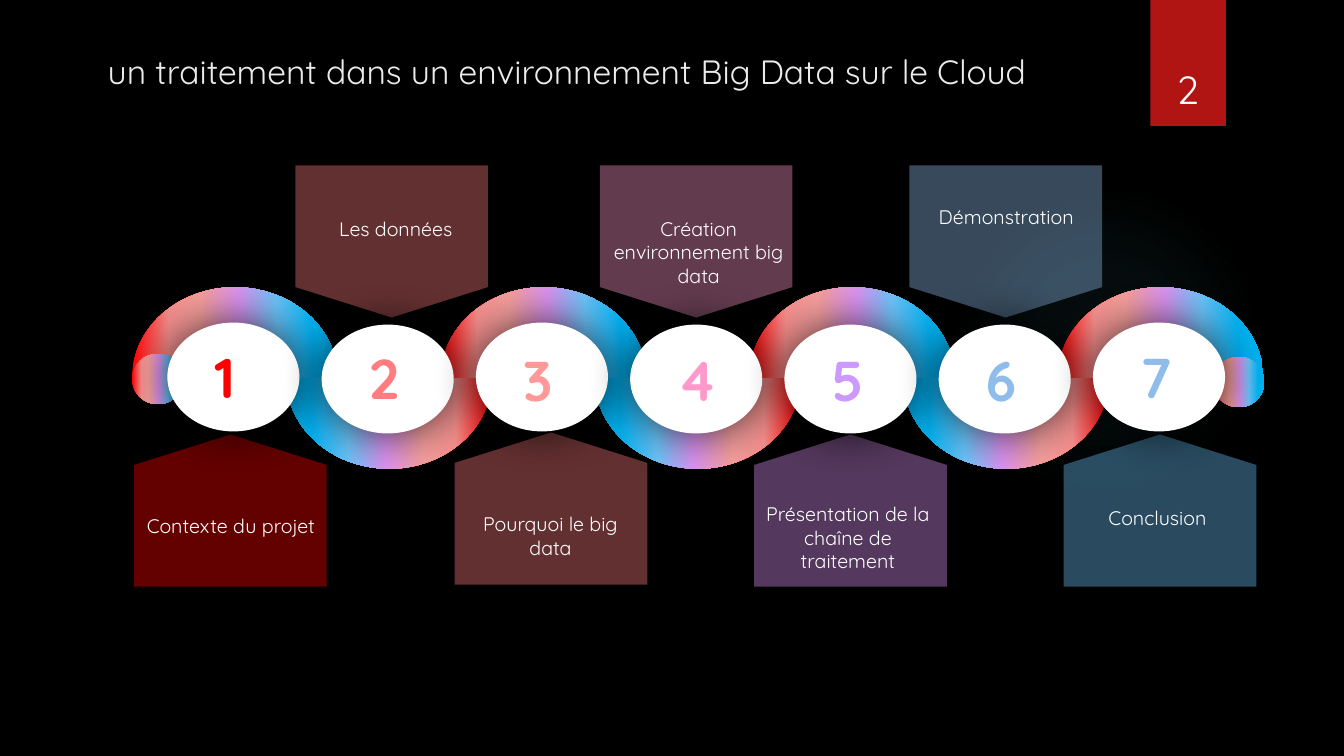
from lxml import etree
from pptx import Presentation
from pptx.dml.color import RGBColor
from pptx.enum import shapes, text
from pptx.oxml import parse_xml
from pptx.oxml.ns import nsdecls, qn
from pptx.util import Inches, Pt

COLORS = {
    "background": "000000", "white": "FFFFFF", "title": "EBEBEB",
    "tab": "B01513", "glow": "50B9C1", "shadow": "000000",
    "red": "FF0000", "coral": "FF7C80", "salmon": "FF9999", "pink": "FF99CC",
    "lilac": "CC99FF", "violet": "DA92F0", "sky": "6AC1F6", "blue": "8FBDEB",
}
# Gradient stops: position in percent, colour, opacity in percent
RIBBON = [(0, "FF0000", 100), (18, "F38F8D", 100), (34, "F49E9D", 100), (34, "F49D9C", 100),
          (52, "DA92F0", 100), (70, "6AC1F6", 100), (88, "00B0F0", 100), (100, "00B0F0", 100)]
GLOW = [(0, COLORS["glow"], 7), (36, COLORS["glow"], 6), (69, COLORS["glow"], 0)]
LINEAR = '<a:lin ang="0" scaled="0"/>'
RADIAL = '<a:path path="circle"><a:fillToRect l="50000" t="50000" r="50000" b="50000"/></a:path>'

FONT = "Quicksand"
PITCH = 1.53
# Label, banner colour, digit colour, banner (left, top), label (left, top, width, height),
# circle top, digit top
STEPS = [
    ("Contexte du projet", "red", "red", (1.33, 4.31), (1.33, 5.05, 1.92, 0.57), 3.2, 3.35),
    ("Les données", "coral", "coral", (2.93, 1.64), (2.93, 2.1, 1.99, 0.34), 3.22, 3.36),
    ("Pourquoi le big data", "coral", "salmon", (4.51, 4.29), (4.5, 5.03, 1.92, 0.57), 3.2, 3.38),
    ("Création environnement big data", "pink", "pink", (5.95, 1.64), (5.97, 2.1, 1.92, 0.81),
     3.22, 3.38),
    ("Présentation de la chaîne de traitement", "violet", "lilac", (7.48, 4.31),
     (7.45, 4.93, 1.92, 0.81), 3.22, 3.38),
    ("Démonstration", "blue", "blue", (9.02, 1.64), (9.02, 1.98, 1.92, 0.34), 3.22, 3.38),
    ("Conclusion", "sky", "blue", (10.55, 4.31), (10.52, 4.97, 1.92, 0.34), 3.2, 3.35),
]

presentation = Presentation()
presentation.slide_width = Inches(13.33)
presentation.slide_height = Inches(7.5)
slide = presentation.slides.add_slide(presentation.slide_layouts[6])
slide.background.fill.solid()
slide.background.fill.fore_color.rgb = RGBColor.from_string(COLORS["background"])


def add_shape(kind, box, color="white", opacity=100, stops=None, direction=LINEAR, shadow=None):
    shape = slide.shapes.add_shape(kind, *map(Inches, box))
    shape.line.fill.background()
    shape.shadow.inherit = False
    shape.fill.solid()
    shape.fill.fore_color.rgb = RGBColor.from_string(COLORS[color])
    properties = shape._element.spPr
    solid = properties.find(qn("a:solidFill"))
    if opacity < 100:
        etree.SubElement(solid[0], qn("a:alpha"), val=str(opacity * 1000))
    if stops:
        stop_xml = "".join(
            f'<a:gs pos="{position * 1000}"><a:srgbClr val="{value}">'
            f'<a:alpha val="{alpha * 1000}"/></a:srgbClr></a:gs>'
            for position, value, alpha in stops)
        properties.replace(solid, parse_xml(
            f'<a:gradFill rotWithShape="1" {nsdecls("a")}>'
            f'<a:gsLst>{stop_xml}</a:gsLst>{direction}</a:gradFill>'))
    if shadow:
        alpha, blur, distance, angle = shadow
        properties.find(qn("a:effectLst")).append(parse_xml(
            f'<a:outerShdw {nsdecls("a")} blurRad="{Pt(blur)}" dist="{Pt(distance)}" '
            f'dir="{angle * 60000}" algn="ctr" rotWithShape="0">'
            f'<a:srgbClr val="{COLORS["shadow"]}"><a:alpha val="{alpha * 1000}"/></a:srgbClr>'
            f'</a:outerShdw>'))
    return shape


def add_text(content, box, size, color="white", align=text.PP_ALIGN.CENTER, bold=False,
             wrap=True, grow=True):
    text_frame = slide.shapes.add_textbox(*map(Inches, box)).text_frame
    text_frame.text = content
    text_frame.word_wrap = wrap
    if grow:
        text_frame.auto_size = text.MSO_AUTO_SIZE.SHAPE_TO_FIT_TEXT
    paragraph = text_frame.paragraphs[0]
    paragraph.alignment = align
    font = paragraph.runs[0].font
    font.name, font.size, font.bold = FONT, Pt(size), bold
    font.color.rgb = RGBColor.from_string(COLORS[color])
    return text_frame


# Background glow and page number tab
add_shape(shapes.MSO_SHAPE.OVAL, (9.41, 1.83, 3.08, 3.08), stops=GLOW, direction=RADIAL)
add_shape(shapes.MSO_SHAPE.RECTANGLE, (11.41, 0, 0.75, 1.25), "tab", shadow=(45, 3, 2, 90))
page_number = add_text("2", (11.32, 0.32, 0.92, 0.84), 28, grow=False)
page_number.vertical_anchor = text.MSO_ANCHOR.BOTTOM

# Banners: odd steps below the ribbon point up, even steps above it point down
for index, (label, banner_color, _, position, *_) in enumerate(STEPS):
    banner = add_shape(shapes.MSO_SHAPE.FLOWCHART_OFFPAGE_CONNECTOR, (*position, 1.91, 1.51),
                       banner_color, opacity=39)
    banner.rotation = 0 if index % 2 else 180

# Winding ribbon with rounded ends
for index in range(len(STEPS)):
    arc = add_shape(shapes.MSO_SHAPE.BLOCK_ARC, (1.31 + PITCH * index, 2.85, 2.04, 1.8),
                    stops=RIBBON)
    arc.adjustments[2] = 0.28
    arc.rotation = 180 if index % 2 else 0
for left, top in [(1.31, 3.51), (12.03, 3.54)]:
    add_shape(shapes.MSO_SHAPE.OVAL, (left, top, 0.51, 0.5), stops=RIBBON)

# Numbered circles and step labels
for index, (label, _, digit_color, _, label_box, circle_top, digit_top) in enumerate(STEPS):
    offset = PITCH * index
    add_shape(shapes.MSO_SHAPE.OVAL, (1.66 + offset, circle_top, 1.31, 1.08),
              shadow=(75, 33, 0, 0))
    add_text(str(index + 1), (2.03 + offset, digit_top, 0.58, 0.77), 40, digit_color,
             align=text.PP_ALIGN.LEFT, bold=True, wrap=False)
    add_text(label, label_box, 14)

# Title
add_text("un traitement dans un environnement Big Data sur le Cloud", (0.97, 0.46, 10.98, 0.84),
         24, "title", align=text.PP_ALIGN.LEFT, grow=False)

presentation.save("out.pptx")
